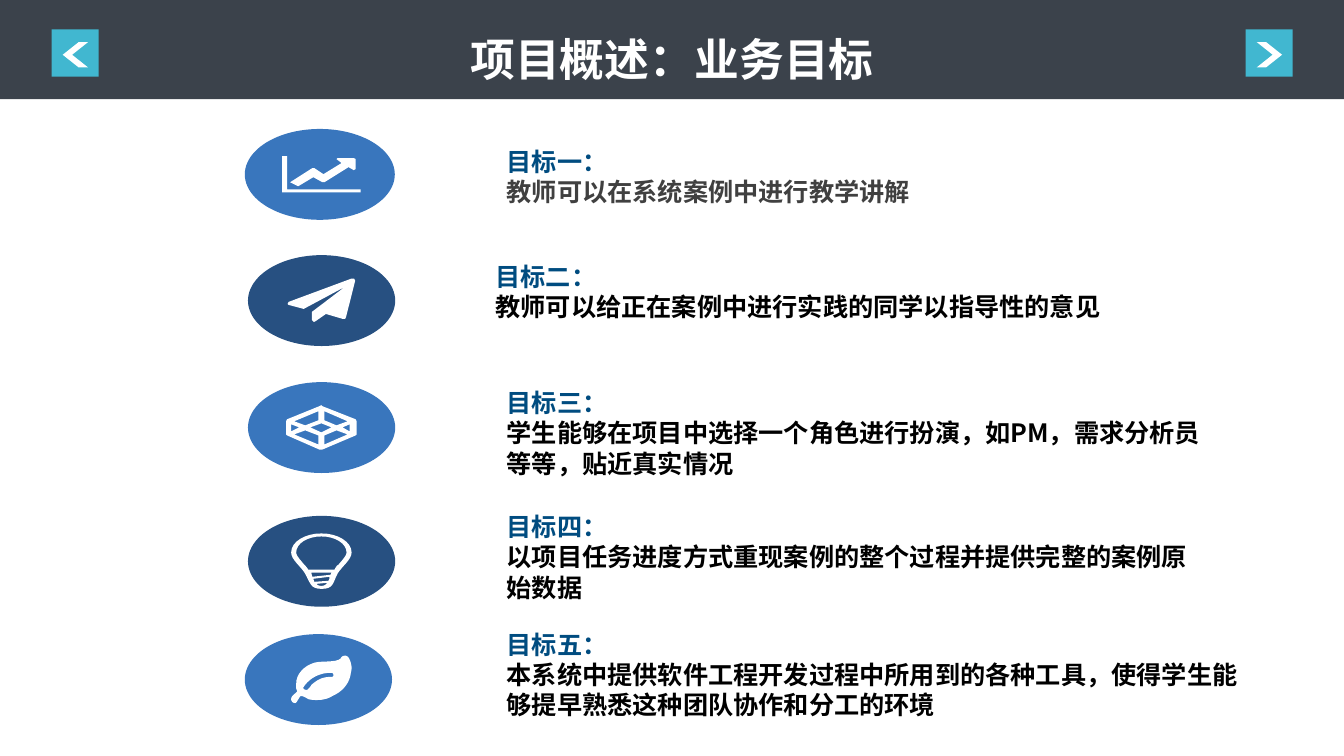
from pptx import Presentation
from pptx.dml.color import RGBColor
from pptx.enum.shapes import MSO_SHAPE
from pptx.enum.text import MSO_ANCHOR, MSO_AUTO_SIZE, PP_ALIGN
from pptx.oxml.ns import qn
from pptx.util import Cm, Pt

RECT, OVAL, CHEVRON = MSO_SHAPE.RECTANGLE, MSO_SHAPE.OVAL, MSO_SHAPE.CHEVRON
TOP, NO_FIT = MSO_ANCHOR.TOP, MSO_AUTO_SIZE.NONE
LEFT, CENTER = PP_ALIGN.LEFT, PP_ALIGN.CENTER

WHITE = RGBColor(0xFF, 0xFF, 0xFF)
BLACK = RGBColor(0, 0, 0)
GRAY = RGBColor(0x40, 0x40, 0x40)
SLATE = RGBColor(0x3B, 0x42, 0x4B)
TEAL = RGBColor(0x41, 0xB7, 0xD0)
BLUE = RGBColor(0x39, 0x76, 0xBD)
NAVY = RGBColor(0x27, 0x50, 0x81)
HEADING = RGBColor(0x00, 0x4C, 0x80)

CJK = "Noto Sans CJK SC"
TITLE_FONT = {"name": "Arial", "size": Pt(32), "bold": True}
GOAL_FONT = {"name": CJK, "size": Pt(18), "bold": True}

ICON_X = 8.1
FINE = 20
CURVE_STEPS = 8

CHART = [
    [(78, 36), (0, 36), (0, 0), (5, 0), (5, 33), (78, 33)],
    [(73, 13), (71, 14), (66, 11), (42, 26), (40, 26), (31, 21), (16, 30), (8, 26),
     (30, 12), (32, 12), (41, 18), (59, 7), (54, 3), (55, 2), (71, 2), (73, 3)],
]
PLANE = [
    [(67, 2), (58, 38), (57, 40), (55, 40), (38, 35), (28, 42), (26, 43), (24, 41),
     (24, 33), (57, 8), (16, 30), (1, 26), (0, 25), (1, 23), (63, 0), (66, 0)],
]
CUBE = [
    [(70, 29), (69, 30), (36, 44), (33, 44), (1, 30), (0, 29), (0, 16), (1, 14),
     (33, 1), (35, 0), (36, 1), (69, 14), (70, 16)],
    [(13, 22), (5, 19), (5, 26)],
    [(32, 15), (32, 6), (8, 16), (19, 20)],
    [(32, 39), (32, 30), (19, 25), (8, 29)],
    [(45, 22), (35, 18), (24, 22), (35, 27)],
    [(61, 16), (38, 6), (38, 15), (50, 20)],
    [(61, 29), (50, 25), (38, 30), (38, 39)],
    [(63, 26), (63, 19), (56, 22)],
]
BULB = [
    [(30, 0), (14, 0, 0, 8, 0, 19), (0, 26, 10, 33, 14, 40), (19, 49, 19, 55, 30, 55),
     (42, 55, 41, 50, 46, 40), (50, 33, 60, 26, 60, 19), (60, 8, 46, 0, 30, 0)],
    [(37, 47), (23, 48), (22, 45), (38, 43), (38, 45)],
    [(21, 43), (20, 39), (40, 39), (39, 41)],
    [(30, 52), (27, 52, 26, 51, 25, 50), (36, 49), (34, 51, 33, 52, 30, 52)],
    [(43, 36), (17, 36), (16, 34, 14, 32, 13, 31), (9, 26, 5, 22, 5, 19),
     (5, 10, 16, 3, 30, 3), (44, 3, 55, 10, 55, 19), (55, 22, 51, 26, 47, 31),
     (45, 32, 44, 34, 43, 36)],
]
LEAF = [
    [(59, 19), (57, 29, 50, 36, 41, 40), (36, 43, 31, 44, 26, 44),
     (23, 44, 20, 44, 17, 43), (15, 42, 12, 40, 10, 40), (8, 40, 6, 47, 4, 47),
     (2, 47, 1, 46, 0, 44), (0, 43), (0, 39, 6, 37, 6, 35), (6, 35, 5, 33, 5, 32),
     (5, 31, 5, 30, 5, 28), (5, 18, 13, 10, 23, 7), (30, 5, 44, 7, 49, 3),
     (50, 1, 51, 0, 54, 0), (58, 0, 60, 9, 60, 12), (60, 15, 59, 17, 59, 19)],
    [(40, 17), (29, 17, 20, 21, 13, 30), (13, 31, 12, 31, 12, 32),
     (12, 33, 14, 34, 15, 34), (16, 34), (18, 32, 20, 30, 20, 29),
     (27, 23, 32, 21, 40, 21), (41, 21, 42, 21, 42, 19), (42, 18, 41, 17, 40, 17)],
]

GOALS = [
    (CHART, BLUE, (6.17, 3.25, 3.78), (12.52, 3.56, 17.22, 4.57), GRAY,
     "目标一：", "教师可以在系统案例中进行教学讲解"),
    (PLANE, NAVY, (6.25, 6.43, 3.71), (12.24, 6.45, 16.94, 1.8), BLACK,
     "目标二：", "教师可以给正在案例中进行实践的同学以指导性的意见"),
    (CUBE, BLUE, (6.25, 9.63, 3.71), (12.52, 9.63, 18.49, 2.57), BLACK,
     "目标三：", "学生能够在项目中选择一个角色进行扮演，如PM，需求分析员等等，贴近真实情况"),
    (BULB, NAVY, (6.25, 13, 3.71), (12.52, 12.75, 18.21, 2.57), BLACK,
     "目标四：", "以项目任务进度方式重现案例的整个过程并提供完整的案例原始数据"),
    (LEAF, BLUE, (6.17, 15.98, 3.71), (12.52, 15.72, 19.15, 2.57), BLACK,
     "目标五：", "本系统中提供软件工程开发过程中所用到的各种工具，使得学生能够提早熟悉这种团队协作和分工的环境"),
]


def flatten(contour):
    points = [contour[0]]
    for step in contour[1:]:
        if len(step) == 2:
            points.append(step)
            continue
        ends = [points[-1], step[:2], step[2:4], step[4:]]
        for i in range(1, CURVE_STEPS + 1):
            t = i / CURVE_STEPS
            weights = ((1 - t) ** 3, 3 * t * (1 - t) ** 2, 3 * t * t * (1 - t), t ** 3)
            points.append(tuple(sum(w * e[k] for w, e in zip(weights, ends)) for k in (0, 1)))
    return [(x * FINE, y * FINE) for x, y in points]


class Deck:
    def __init__(self):
        self.prs = Presentation()
        self.prs.slide_width, self.prs.slide_height = Cm(33.87), Cm(19.05)
        self.s = self.prs.slides.add_slide(self.prs.slide_layouts[5])

    def paint(self, sp, color):
        sp.shadow.inherit = False
        sp.fill.solid()
        sp.fill.fore_color.rgb = color
        sp.line.fill.background()
        return sp

    def shape(self, kind, box, color):
        return self.paint(self.s.shapes.add_shape(kind, *map(Cm, box)), color)

    def icon(self, contours, center_y):
        outlines = [flatten(c) for c in contours]
        fb = self.s.shapes.build_freeform(*outlines[0][0], scale=Cm(0.0254) / FINE)
        fb.add_line_segments(outlines[0][1:])
        for outline in outlines[1:]:
            fb.move_to(*outline[0])
            fb.add_line_segments(outline[1:])
        sp = self.paint(fb.convert_to_shape(), WHITE)
        sp.left = Cm(ICON_X) - sp.width // 2
        sp.top = Cm(center_y) - sp.height // 2

    def set_text(self, sp, lines, font, pitch, align):
        tf = sp.text_frame
        for name, value in {"word_wrap": True, "auto_size": NO_FIT, "vertical_anchor": TOP}.items():
            setattr(tf, name, value)
        for i, (text, color) in enumerate(lines):
            p = tf.add_paragraph() if i else tf.paragraphs[0]
            for name, value in {"alignment": align, "line_spacing": Pt(pitch),
                                "space_before": Pt(0)}.items():
                setattr(p, name, value)
            r = p.add_run()
            r.text = text
            for name, value in font.items():
                setattr(r.font, name, value)
            r.font.color.rgb = color
            ea = r.font._element.makeelement(qn("a:ea"), {"typeface": CJK})
            r.font._element.find(qn("a:latin")).addnext(ea)

    def title(self, text, box):
        sp = self.s.shapes.title
        for name, value in zip(("left", "top", "width", "height"), box):
            setattr(sp, name, Cm(value))
        self.set_text(sp, [(text, WHITE)], TITLE_FONT, 46.8, CENTER)
        sp.element.getparent().append(sp.element)

    def nav_button(self, left, rotation):
        self.shape(RECT, (left, 0.74, 1.19, 1.19), TEAL)
        arrow = self.shape(CHEVRON, (left + 0.28, 1.06, 0.64, 0.64), WHITE)
        arrow.adjustments[0] = 0.63
        arrow.rotation = rotation

    def goal(self, icon, fill, oval, box, color, heading, body):
        left, top, width = oval
        self.shape(OVAL, (left, top, width, 2.29), fill)
        self.icon(icon, top + 1.14)
        sp = self.s.shapes.add_textbox(*map(Cm, box))
        self.set_text(sp, [(heading, HEADING), (body, color)], GOAL_FONT, 21.7, LEFT)


def main():
    deck = Deck()
    deck.shape(RECT, (0, 0, 33.87, 2.5), SLATE)
    deck.title("项目概述：业务目标", (10.26, 0.38, 13.36, 1.9))
    deck.nav_button(1.3, 180)
    deck.nav_button(31.39, 0)
    for goal in GOALS:
        deck.goal(*goal)
    deck.prs.save("out.pptx")


if __name__ == "__main__":
    main()
